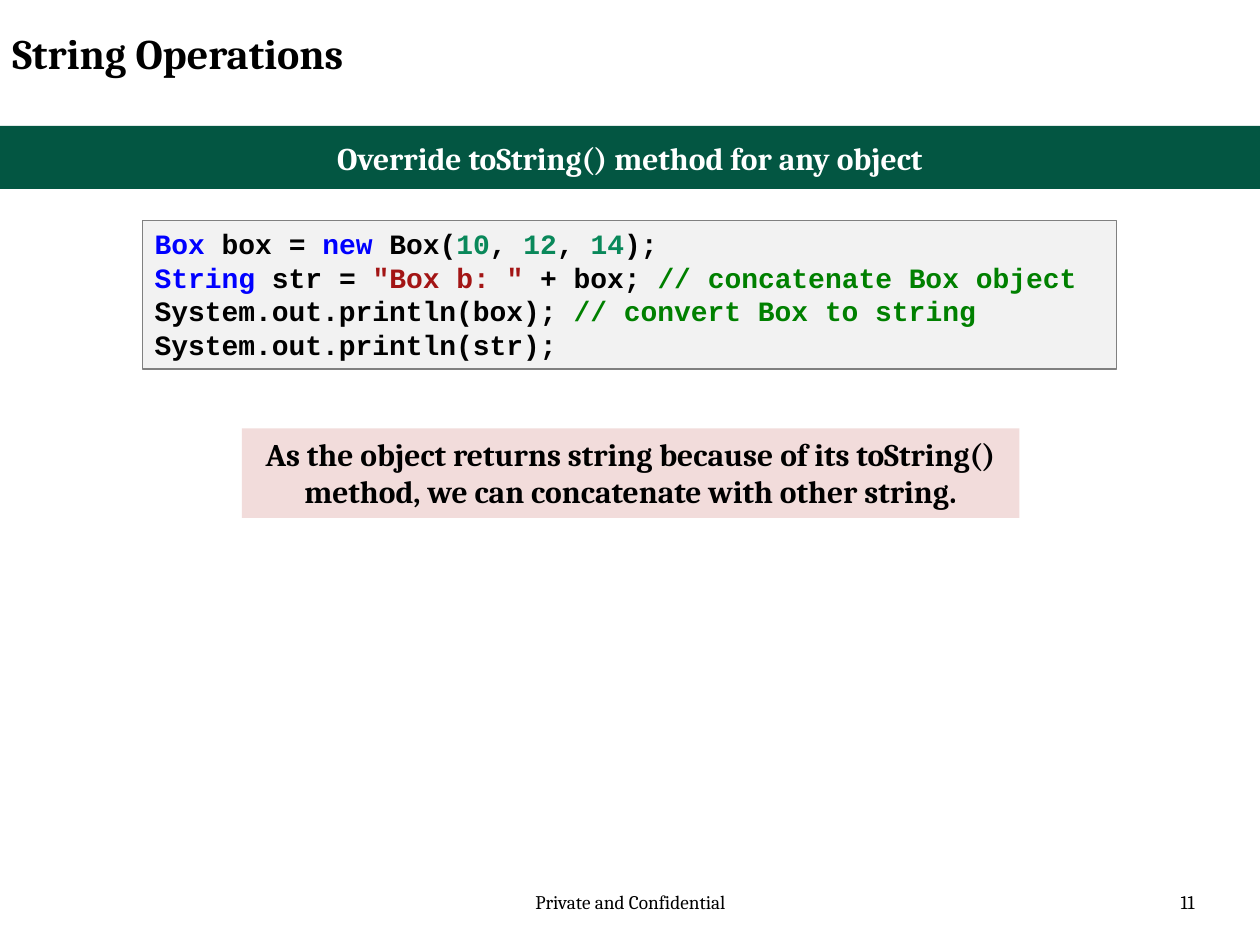
import pptx
import pptx.util
import pptx.dml.color
import pptx.enum.shapes
import pptx.enum.text

W, H = 10, 7.5
BODY, CODE = "Cambria", "Courier New"
BLACK, WHITE = "000000", "FFFFFF"
KEYWORD, NUMBER, STRING, COMMENT = "0000FF", "09885A", "A31515", "008000"
ALIGN = pptx.enum.text.PP_ALIGN
ANCHOR = pptx.enum.text.MSO_ANCHOR

# Each line of code is a list of (text, colour) tokens
CODE_LINES = [
    [("Box", KEYWORD), (" box = ", BLACK), ("new", KEYWORD), (" Box(", BLACK),
     ("10", NUMBER), (", ", BLACK), ("12", NUMBER), (", ", BLACK),
     ("14", NUMBER), (");", BLACK)],
    [("String", KEYWORD), (" str = ", BLACK), ('"Box b: "', STRING),
     (" + box; ", BLACK), ("// concatenate Box object", COMMENT)],
    [("System.out.println(box); ", BLACK),
     ("// convert Box to string", COMMENT)],
    [("System.out.println(str);", BLACK)],
]


def rgb(value):
    return pptx.dml.color.RGBColor.from_string(value)


def place(x, y, w, h):
    """Turn shares of the slide's size into lengths."""
    return [pptx.util.Inches(v) for v in (x * W, y * H, w * W, h * H)]


def write(sp, lines, size, font=BODY, bold=True, align=ALIGN.LEFT,
          anchor=ANCHOR.TOP):
    tf = sp.text_frame
    tf.word_wrap = True
    tf.vertical_anchor = anchor
    for i, line in enumerate(lines):
        p = tf.add_paragraph() if i else tf.paragraphs[0]
        p.alignment = align
        for text, color in line:
            r = p.add_run()
            r.text = text
            r.font.name = font
            r.font.size = pptx.util.Pt(size)
            r.font.bold = bold
            r.font.color.rgb = rgb(color)


def add_label(s, box, text, size, **style):
    sp = s.shapes.add_textbox(*place(*box))
    write(sp, [[(text, BLACK)]], size, **style)


def add_panel(s, box, fill, lines, size, line=None, **style):
    sp = s.shapes.add_shape(pptx.enum.shapes.MSO_SHAPE.RECTANGLE, *place(*box))
    sp.shadow.inherit = False
    sp.fill.solid()
    sp.fill.fore_color.rgb = rgb(fill)
    if line:
        sp.line.color.rgb = rgb(line)
        sp.line.width = pptx.util.Pt(0.75)
    else:
        sp.line.fill.background()
    write(sp, lines, size, **style)


def main():
    prs = pptx.Presentation()
    prs.slide_width = pptx.util.Inches(W)
    prs.slide_height = pptx.util.Inches(H)
    s = prs.slides.add_slide(prs.slide_layouts[6])

    # Footer
    foot_y, foot_h = 7.02 / H, 0.4 / H
    add_label(s, (0.342, foot_y, 0.317, foot_h), "Private and Confidential",
              11, bold=False, align=ALIGN.CENTER)
    add_label(s, (0.725, foot_y, 0.233, foot_h), "11",
              11, bold=False, align=ALIGN.RIGHT)

    # Title
    add_label(s, (0, 0.17 / H, 0.758, 0.62 / H), "String Operations", 24)

    # Code listing
    add_panel(s, (0.113, 1.75 / H, 0.773, 1.18 / H), "F2F2F2", CODE_LINES,
              16, line="808080", font=CODE)

    # Explanation
    add_panel(s, (0.192, 3.4 / H, 0.617, 0.71 / H), "F2DCDB",
              [[("As the object returns string because of its toString() "
                 "method, we can concatenate with other string.", BLACK)]],
              18, align=ALIGN.CENTER)

    # Heading band
    add_panel(s, (0, 1 / H, 1, 0.5 / H), "035642",
              [[("Override toString() method for any object", WHITE)]],
              18, align=ALIGN.CENTER, anchor=ANCHOR.MIDDLE)

    prs.save("out.pptx")


if __name__ == "__main__":
    main()
